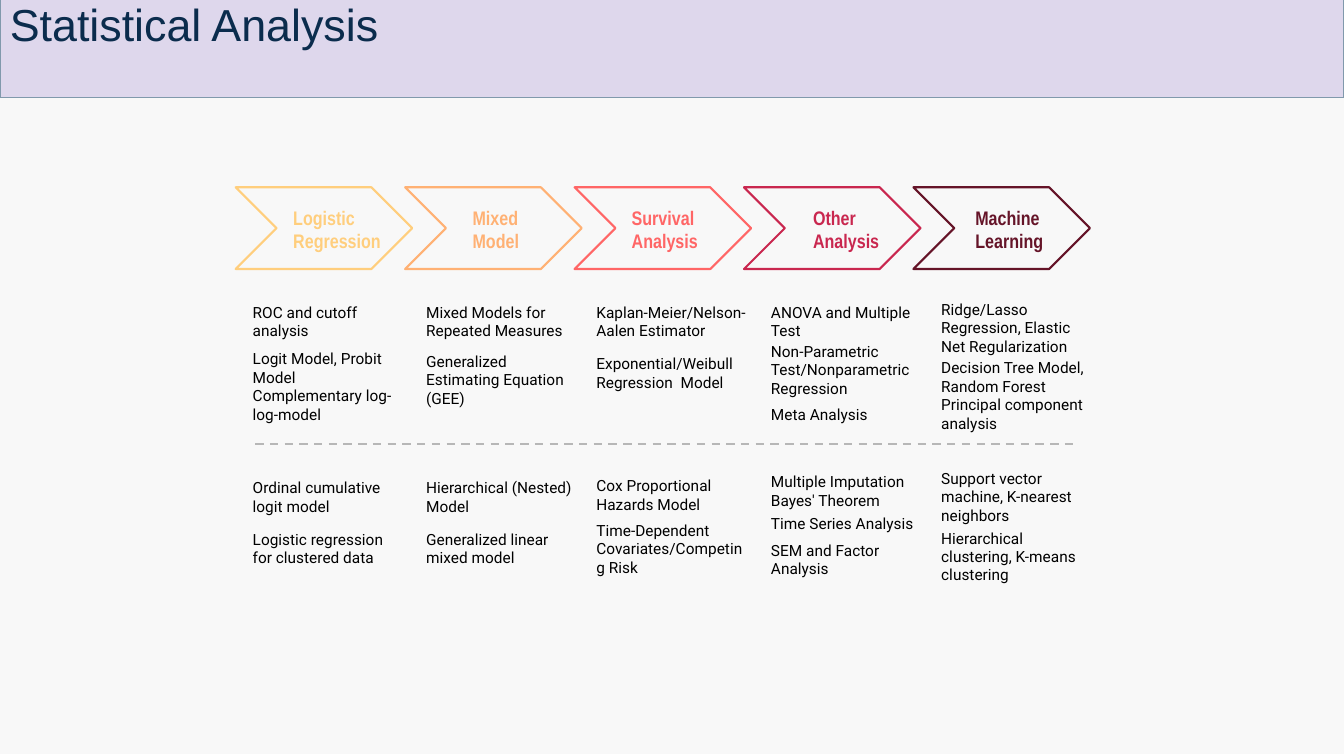
import pptx
import pptx.util
import pptx.dml.color
import pptx.enum.dml
import pptx.enum.shapes
import pptx.enum.text
import pptx.oxml.ns
from lxml import etree

Cm, Pt = pptx.util.Cm, pptx.util.Pt
Kind = pptx.enum.shapes.MSO_SHAPE
Anchor = pptx.enum.text.MSO_ANCHOR
qn = pptx.oxml.ns.qn


def color(code):
    return pptx.dml.color.RGBColor.from_string(code)


class Deck:
    """Holds the text style and the current slide."""
    body, head, title = "Roboto", "Arial Narrow", "Arial"
    inset = Cm(0.25)

    def __init__(self, wide, high):
        self.prs = pptx.Presentation()
        self.prs.slide_width, self.prs.slide_height = Cm(wide), Cm(high)
        self.slide = self.prs.slides.add_slide(self.prs.slide_layouts[6])

    def shape(self, kind, x, y, w, h, fill=None, line=None, width=1, alpha=None):
        item = self.slide.shapes.add_shape(kind, Cm(x), Cm(y), Cm(w), Cm(h))
        item.shadow.inherit = False
        if fill:
            item.fill.solid()
            item.fill.fore_color.rgb = color(fill)
        else:
            item.fill.background()
        if alpha:
            tone = item._element.spPr.find(qn("a:solidFill"))[0]
            etree.SubElement(tone, qn("a:alpha"), val=str(alpha * 1000))
        if line:
            item.line.color.rgb = color(line)
            item.line.width = Pt(width)
        else:
            item.line.fill.background()
        return item

    def set_text(self, frame, text, font, size, tone, bold=False):
        frame.word_wrap = True
        frame.text = text
        for para in frame.paragraphs:
            para.alignment = pptx.enum.text.PP_ALIGN.LEFT
            para.font.name, para.font.size = font, Pt(size)
            para.font.bold = bold
            para.font.color.rgb = color(tone)

    def label(self, text, x, y, w, h, font=body, size=11, tone="000000", bold=False):
        frame = self.slide.shapes.add_textbox(Cm(x), Cm(y), Cm(w), Cm(h)).text_frame
        frame.margin_left = frame.margin_right = self.inset
        frame.margin_top = frame.margin_bottom = self.inset
        frame.vertical_anchor = Anchor.MIDDLE
        self.set_text(frame, text, font, size, tone, bold)

    def dash(self, x, y, end, tone, width):
        rule = self.slide.shapes.add_connector(
            pptx.enum.shapes.MSO_CONNECTOR.STRAIGHT, Cm(x), Cm(y), Cm(end), Cm(y))
        rule.line.color.rgb = color(tone)
        rule.line.width = Pt(width)
        rule.line.dash_style = pptx.enum.dml.MSO_LINE.DASH
        etree.SubElement(rule._element.spPr, qn("a:effectLst"))


# Step heading, colour, heading left and width
STEPS = [
    ("Logistic Regression", "FFCE7D", 7.14, 3.35),
    ("Mixed\nModel", "FFB174", 11.66, 3.86),
    ("Survival\nAnalysis", "FF6666", 15.67, 3.86),
    ("Other\nAnalysis", "C9274F", 20.24, 3.86),
    ("Machine\nLearning", "651428", 24.33, 3.86),
]

# Column left, then its methods as text, top and height
LISTS = [
    (6.12, [
        ("ROC and cutoff analysis", 7.54, 1.12),
        ("Logit Model, Probit Model\nComplementary log-log-model", 8.84, 1.8),
        ("Ordinal cumulative logit model", 11.96, 1.12),
        ("Logistic regression for clustered data", 13.26, 1.12)]),
    (10.49, [
        ("Mixed Models for Repeated Measures", 7.54, 1.12),
        ("Generalized Estimating Equation (GEE)", 8.84, 1.45),
        ("Hierarchical (Nested) Model", 11.96, 1.12),
        ("Generalized linear mixed model", 13.26, 1.12)]),
    (14.78, [
        ("Kaplan-Meier/Nelson-Aalen Estimator", 7.54, 1.12),
        ("Exponential/Weibull Regression  Model", 8.84, 1.12),
        ("Cox Proportional Hazards Model", 11.91, 1.12),
        ("Time-Dependent Covariates/Competing Risk", 13.26, 1.12)]),
    (19.18, [
        ("ANOVA and Multiple Test", 7.54, 1.12),
        ("Non-Parametric Test/Nonparametric Regression", 8.76, 1.12),
        ("Meta Analysis", 9.88, 1.12),
        ("Multiple Imputation\vBayes' Theorem", 11.81, 1.12),
        ("Time Series Analysis", 12.62, 1.12),
        ("SEM and Factor Analysis", 13.54, 1.12)]),
    (23.47, [
        ("Ridge/Lasso Regression, Elastic Net Regularization", 7.54, 1.42),
        ("Decision Tree Model, Random Forest\nPrincipal component analysis", 9.4, 1.12),
        ("Support vector machine, K-nearest neighbors", 11.96, 1.12),
        ("Hierarchical clustering, K-means clustering", 13.46, 1.12)]),
]


def main():
    deck = Deck(33.87, 19.05)

    # Header band under a translucent panel with the title
    deck.shape(Kind.RECTANGLE, 0, -0.05, 33.87, 2.51, "CBBDE6", "104067")
    panel = deck.shape(Kind.RECTANGLE, 0, -0.05, 33.87, 19.05, "F2F2F2", alpha=50)
    frame = panel.text_frame
    frame.vertical_anchor = Anchor.TOP
    deck.set_text(frame, "Statistical Analysis", deck.title, 32, "0B2C4D")
    frame.paragraphs[0].line_spacing = 0.9
    frame.paragraphs[0].space_before = Pt(10)

    # Chevrons and their headings
    for i, (text, tone, x, w) in enumerate(STEPS):
        deck.shape(Kind.CHEVRON, 5.94 + 4.27 * i, 4.72, 4.45, 2.06, line=tone, width=1.5)
        deck.label(text, x, 5.36, w, 0.84, deck.head, 14, tone, True)

    # Methods in columns
    for x, notes in LISTS:
        for text, y, h in notes:
            deck.label(text, x, y, 4.29, h)

    # Divider
    deck.dash(6.43, 11.18, 27.08, "B7B7B7", 1.5)

    deck.prs.save("out.pptx")


if __name__ == "__main__":
    main()
